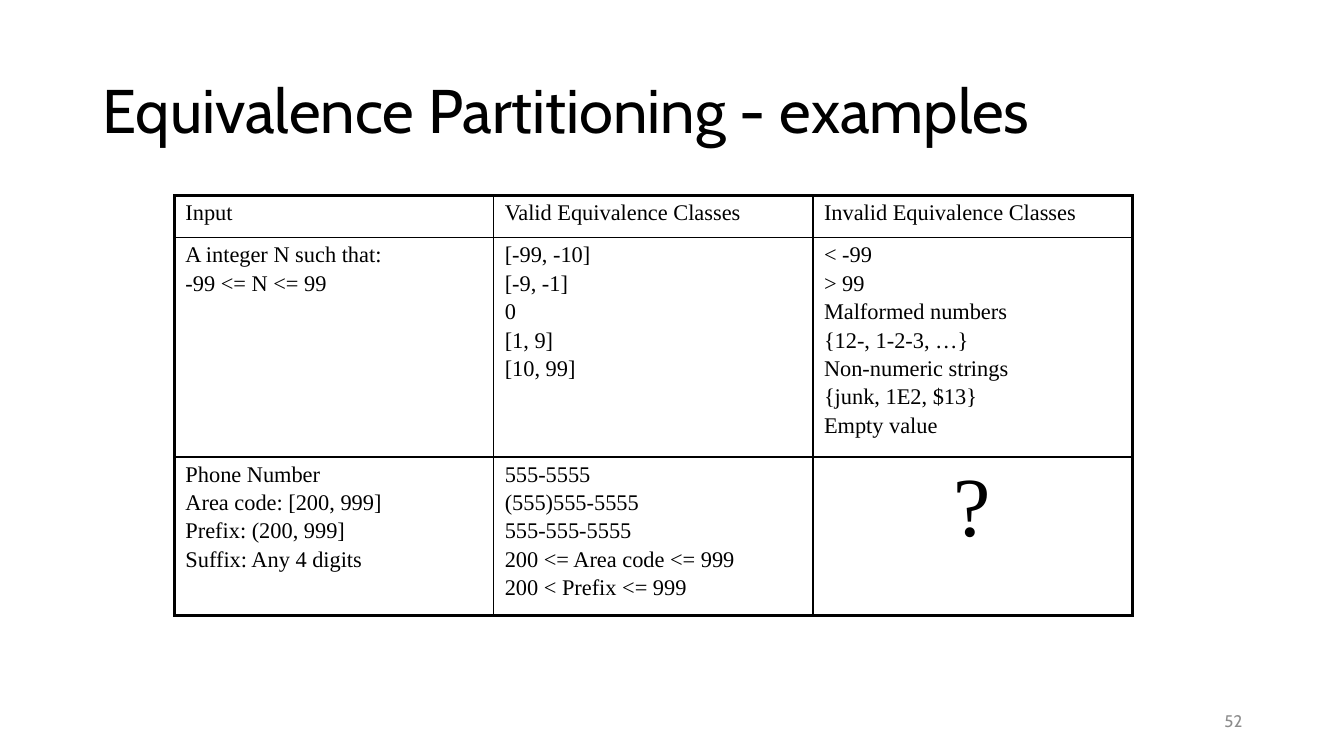
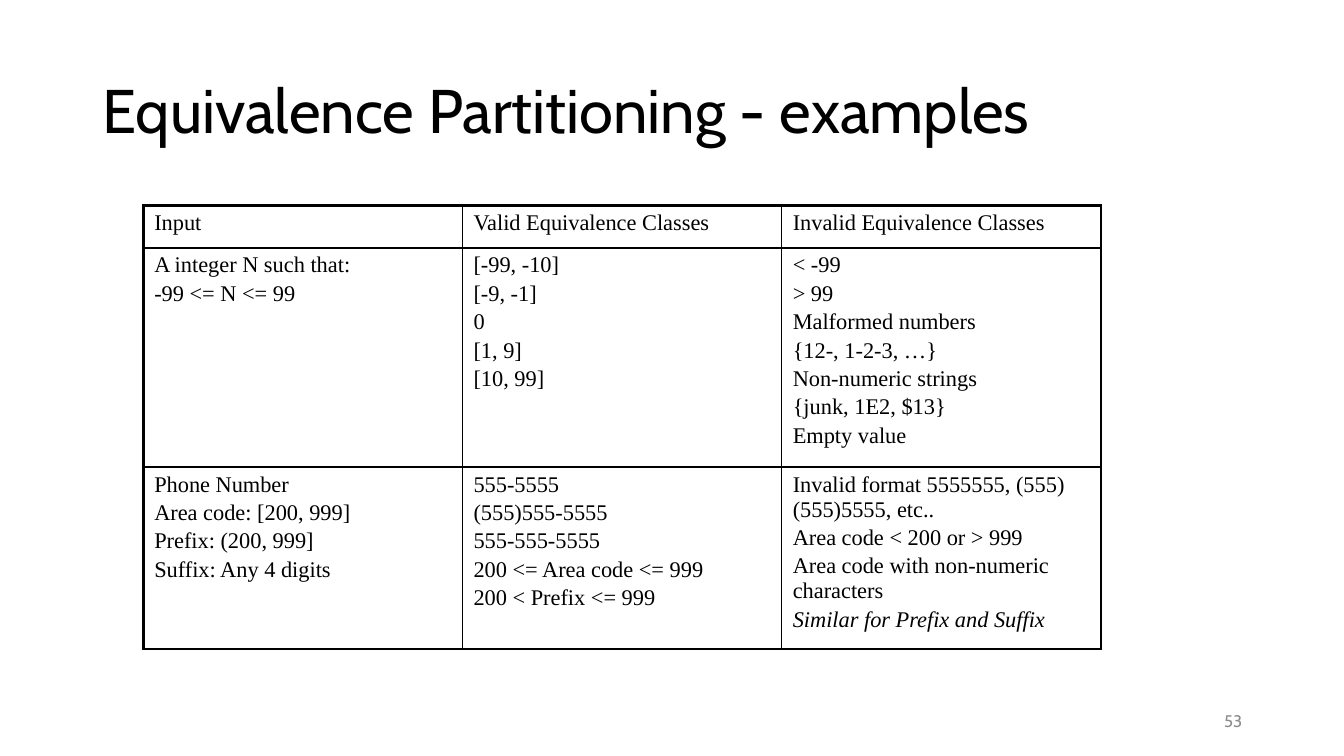
import lxml.etree
import pptx
import pptx.dml.color
import pptx.enum.text
import pptx.oxml.ns
import pptx.util

Inches = pptx.util.Inches
Pt = pptx.util.Pt
ALIGN = pptx.enum.text.PP_ALIGN

COLORS = {"text": "000000", "border": "000000", "number": "8C8C8C"}
TITLE = "Equivalence Partitioning - examples"
TITLE_BOX = (0.92, 0.4, 11.5, 1.45)
NUMBER_BOX = (9.42, 6.95, 3, 0.4)
COLUMN_WIDTH = 9.5 / 3
THICK, THIN = 2.25, 1

HEADER = ["Input", "Valid Equivalence Classes", "Invalid Equivalence Classes"]
INTEGER_ROW = [
    "A integer N such that:\n-99 <= N <= 99",
    "[-99, -10]\n[-9, -1]\n0\n[1, 9]\n[10, 99]",
    "< -99\n> 99\nMalformed numbers\n{12-, 1-2-3, …}\n"
    "Non-numeric strings\n{junk, 1E2, $13}\nEmpty value",
]
PHONE_CELLS = [
    "Phone Number\nArea code: [200, 999]\nPrefix: (200, 999]\nSuffix: Any 4 digits",
    "555-5555\n(555)555-5555\n555-555-5555\n"
    "200 <= Area code <= 999\n200 < Prefix <= 999",
]
PHONE_INVALID = (
    "Invalid format 5555555, (555)(555)5555, etc..\nArea code < 200 or > 999\n"
    "Area code with non-numeric characters\nSimilar for Prefix and Suffix"
)


def style_font(font, name, size, color):
    font.name = name
    font.size = Pt(size)
    font.color.rgb = pptx.dml.color.RGBColor.from_string(COLORS[color])


def add_text(slide, box, text, size, color="text", align=ALIGN.LEFT, spacing=None):
    frame = slide.shapes.add_textbox(*map(Inches, box)).text_frame
    frame.word_wrap = True
    frame.vertical_anchor = pptx.enum.text.MSO_ANCHOR.MIDDLE
    paragraph = frame.paragraphs[0]
    paragraph.text = text
    paragraph.alignment = align
    paragraph.line_spacing = spacing
    style_font(paragraph.font, "Cabin", size, color)


def set_borders(cell, widths):
    properties = cell._tc.get_or_add_tcPr()
    qn = pptx.oxml.ns.qn
    for side, width in zip("LRTB", widths):
        line = lxml.etree.SubElement(properties, qn("a:ln" + side), w=str(Pt(width)))
        fill = lxml.etree.SubElement(line, qn("a:solidFill"))
        lxml.etree.SubElement(fill, qn("a:srgbClr"), val=COLORS["border"])


def fill_cell(cell, text):
    cell.margin_left = cell.margin_right = Inches(0.11)
    cell.margin_top = cell.margin_bottom = Inches(0.05)
    cell.text = text
    for index, paragraph in enumerate(cell.text_frame.paragraphs):
        if index:
            paragraph.space_before = Pt(2.5)
        style_font(paragraph.font, "Times New Roman", 16, "text")


def add_class_table(slide, left, top, row_heights, rows):
    row_count, column_count = len(rows), len(rows[0])
    table = slide.shapes.add_table(
        row_count, column_count, Inches(left), Inches(top),
        Inches(COLUMN_WIDTH * column_count), Inches(sum(row_heights)),
    ).table
    table.first_row = table.horz_banding = False
    for column in table.columns:
        column.width = Inches(COLUMN_WIDTH)
    for row_index, (height, texts) in enumerate(zip(row_heights, rows)):
        table.rows[row_index].height = Inches(height)
        for column_index, text in enumerate(texts):
            cell = table.cell(row_index, column_index)
            outer_sides = (
                column_index == 0, column_index == column_count - 1,
                row_index == 0, row_index == row_count - 1,
            )
            set_borders(cell, [THICK if outer else THIN for outer in outer_sides])
            cell.fill.background()
            fill_cell(cell, text)
    return table


def add_example_slide(presentation, number, left, top, phone_height, phone_invalid):
    slide = presentation.slides.add_slide(presentation.slide_layouts[6])
    add_text(slide, TITLE_BOX, TITLE, 44, spacing=0.9)
    rows = [HEADER, INTEGER_ROW, PHONE_CELLS + [phone_invalid]]
    table = add_class_table(slide, left, top, [0.42, 2.1, phone_height], rows)
    add_text(slide, NUMBER_BOX, str(number), 12, "number", ALIGN.RIGHT)
    return table.cell(2, 2).text_frame.paragraphs[-1]


def main():
    presentation = pptx.Presentation()
    presentation.slide_width = Inches(13.33)
    presentation.slide_height = Inches(7.5)

    question = add_example_slide(presentation, 52, 1.73, 1.94, 1.51, "?")
    question.alignment = ALIGN.CENTER
    question.font.size = Pt(60)

    closing_line = add_example_slide(presentation, 53, 1.42, 2.04, 1.71, PHONE_INVALID)
    closing_line.font.italic = True

    presentation.save("out.pptx")


if __name__ == "__main__":
    main()
